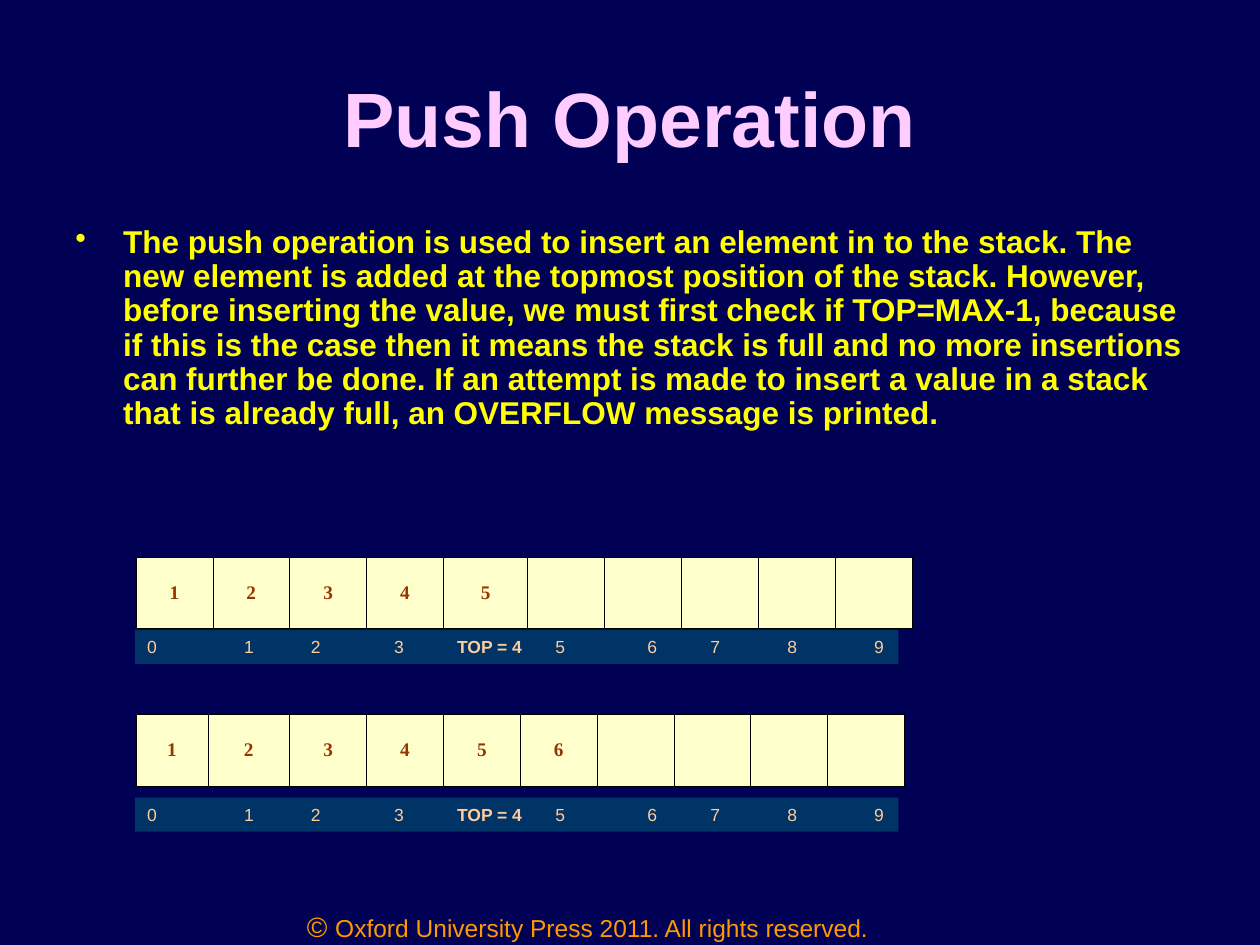
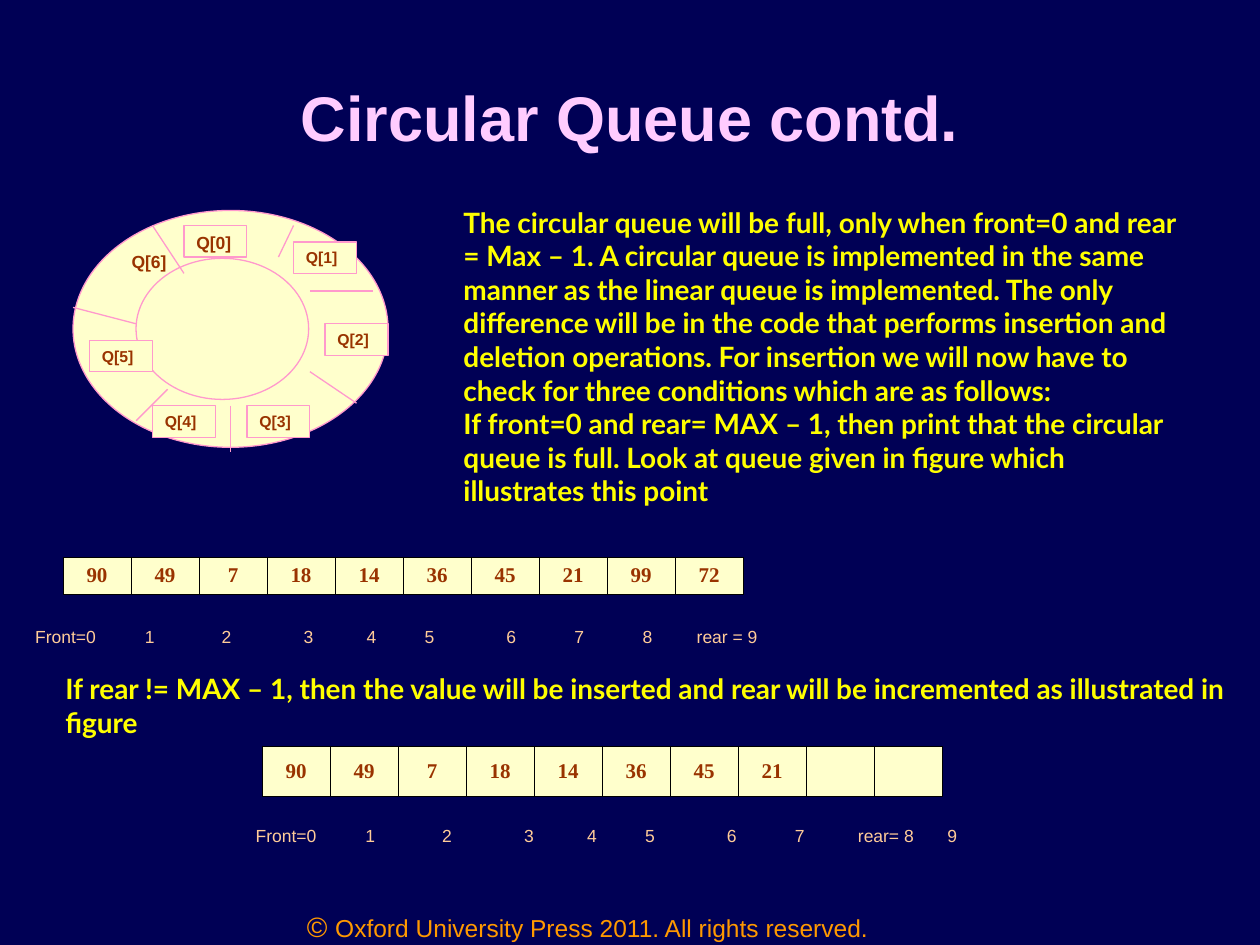
from lxml.etree import SubElement
from pptx import Presentation
from pptx.dml.color import RGBColor
from pptx.enum.shapes import MSO_CONNECTOR, MSO_SHAPE
from pptx.enum.text import MSO_ANCHOR, PP_ALIGN
from pptx.oxml.ns import qn
from pptx.util import Inches, Pt

NAVY, BLUE, CREAM, BLACK = "000055", "003366", "FFFFCC", "000000"
PINK, ROSE, YELLOW = "FFCCFF", "FF99CC", "FFFF00"
ORANGE, PEACH, BROWN = "FF9900", "FFCC99", "993300"
SANS, LATO, SERIF = "Arial", "Lato", "Times New Roman"


def color(code):
    return RGBColor.from_string(code)


def inches(*values):
    return [Inches(value) for value in values]


class Deck:
    """Holds the shared style, the presentation and the current slide."""

    def __init__(self):
        self.prs = Presentation()
        self.prs.slide_width, self.prs.slide_height = inches(10, 7.5)
        self.slide = None

    def start(self, title, size):
        self.slide = self.prs.slides.add_slide(self.prs.slide_layouts[6])
        fill = self.slide.background.fill
        fill.solid()
        fill.fore_color.rgb = color(NAVY)
        self.footer()
        self.text((0.5, 0.3, 9, 1.25), [title], size, PINK, bold=True,
                  align=PP_ALIGN.CENTER, anchor=MSO_ANCHOR.MIDDLE)

    def footer(self):
        box = self.text((2, 7.17, 5.33, 0.33), ["© "], 16, ORANGE,
                        align=PP_ALIGN.CENTER)
        run = box.text_frame.paragraphs[0].add_run()
        run.text = "Oxford University Press 2011. All rights reserved."
        self.style(run.font, 14, ORANGE)

    def style(self, font, size, tint, face=SANS, bold=False):
        font.size, font.name, font.bold = Pt(size), face, bold
        font.color.rgb = color(tint)

    def fill_in(self, frame, lines, size, tint, face=SANS, bold=False,
                align=PP_ALIGN.LEFT, anchor=MSO_ANCHOR.TOP):
        """Put the lines into the frame, one paragraph each."""
        frame.word_wrap = True
        frame.vertical_anchor = anchor
        frame.text = "\n".join(lines)
        for para in frame.paragraphs:
            para.alignment = align
            for run in para.runs:
                self.style(run.font, size, tint, face, bold)

    def text(self, place, lines, size, tint, **look):
        box = self.slide.shapes.add_textbox(*inches(*place))
        self.fill_in(box.text_frame, lines, size, tint, **look)
        return box

    def bullet(self, place, line, size, tint):
        box = self.text(place, [line], size, tint, bold=True)
        para = box.text_frame.paragraphs[0]
        props = para._p.get_or_add_pPr()
        props.set("marL", str(Inches(0.38)))
        props.set("indent", str(-Inches(0.38)))
        SubElement(props, qn("a:buChar")).set("char", "•")
        para.line_spacing = 0.9

    def shape(self, kind, place, fill, line=None):
        shape = self.slide.shapes.add_shape(kind, *inches(*place))
        shape.shadow.inherit = False
        shape.fill.solid()
        shape.fill.fore_color.rgb = color(fill)
        if line:
            shape.line.color.rgb = color(line)
            shape.line.width = Pt(0.75)
        else:
            shape.line.fill.background()
        return shape

    def label(self, kind, place, name="", size=9):
        shape = self.shape(kind, place, CREAM, ROSE)
        if name:
            self.fill_in(shape.text_frame, [name], size, BROWN, bold=True)

    def line(self, *ends):
        line = self.slide.shapes.add_connector(MSO_CONNECTOR.STRAIGHT,
                                               *inches(*ends))
        line.line.color.rgb = color(ROSE)
        line.line.width = Pt(0.75)
        SubElement(line._element.spPr, qn("a:effectLst"))

    def array(self, left, top, height, widths, values, size):
        """Draw a one-row table; cells beyond the values stay empty."""
        frame = self.slide.shapes.add_table(
            1, len(widths), *inches(left, top, sum(widths), height))
        table = frame.table
        table.first_row = table.horz_banding = False
        table.rows[0].height = Inches(height)
        for col, width in enumerate(widths):
            table.columns[col].width = Inches(width)
            cell = table.cell(0, col)
            self.border(cell)
            cell.fill.solid()
            cell.fill.fore_color.rgb = color(CREAM)
            cell.vertical_anchor = MSO_ANCHOR.MIDDLE
            if col < len(values):
                para = cell.text_frame.paragraphs[0]
                para.text = str(values[col])
                para.alignment = PP_ALIGN.CENTER
                self.style(para.runs[0].font, size, BROWN, SERIF, True)

    def border(self, cell):
        props = cell._tc.get_or_add_tcPr()
        for side in ("lnL", "lnR", "lnT", "lnB"):
            edge = SubElement(props, qn("a:" + side), w=str(Pt(0.45)))
            fill = SubElement(edge, qn("a:solidFill"))
            SubElement(fill, qn("a:srgbClr"), val=BLACK)

    def index(self, box, names, stops, inset, strong=""):
        """Set index names in one line, each after the first at a tab stop."""
        frame = box.text_frame
        frame.word_wrap = True
        frame.vertical_anchor = MSO_ANCHOR.MIDDLE
        frame.margin_left, frame.margin_right = inches(inset, 0)
        para = frame.paragraphs[0]
        para.alignment = PP_ALIGN.LEFT
        tabs = SubElement(para._p.get_or_add_pPr(), qn("a:tabLst"))
        for stop in stops:
            SubElement(tabs, qn("a:tab"), pos=str(Inches(stop)), algn="l")
        for pos, name in enumerate(names):
            run = para.add_run()
            run.text = "\t" + name if pos else name
            self.style(run.font, 10, PEACH, bold=name == strong)


def push(deck):
    deck.start("Push Operation", 44)
    deck.bullet(
        (0.5, 1.75, 9, 1.79),
        "The push operation is used to insert an element in to the stack. "
        "The new element is added at the topmost position of the stack. "
        "However, before inserting the value, we must first check if "
        "TOP=MAX-1, because if this is the case then it means the stack is "
        "full and no more insertions can further be done. If an attempt is "
        "made to insert a value in a stack that is already full, an OVERFLOW "
        "message is printed.", 18, YELLOW)
    top = "TOP = 4"
    names = ["0", "1", "2", "3", top, "5", "6", "7", "8", "9"]
    stops = [0.77, 1.3, 1.96, 2.46, 3.24, 3.97, 4.47, 5.08, 5.77]
    before = [0.61] * 4 + [0.67] + [0.61] * 5
    after = [0.57, 0.65] + [0.61] * 8
    for y, widths, count, strip in ((4.42, before, 5, 5),
                                    (5.67, after, 6, 6.33)):
        deck.array(1.08, y, 0.57, widths, range(1, count + 1), 11)
        bar = deck.shape(MSO_SHAPE.RECTANGLE, (1.07, strip, 6.06, 0.27), BLUE)
        deck.index(bar, names, stops, 0.1, top)


def ring(deck):
    """Draw the circular queue with its dividers and slot labels."""
    deck.label(MSO_SHAPE.OVAL, (0.58, 1.67, 2.5, 1.88), "Q[6]", 10)
    deck.label(MSO_SHAPE.OVAL, (1.08, 2.05, 1.37, 1.12))
    for ends in ((2.21, 2.04, 2.33, 1.79), (2.46, 2.31, 2.96, 2.31),
                 (2.46, 2.95, 2.83, 3.2), (1.83, 3.22, 1.83, 3.59),
                 (1.33, 3.09, 1.08, 3.34), (1.08, 2.57, 0.58, 2.44),
                 (1.46, 2.17, 1.21, 1.79)):
        deck.line(*ends)
    slots = ((1.46, 1.79), (2.33, 1.92), (2.58, 2.57),
             (1.96, 3.22), (1.21, 3.22), (0.71, 2.7))
    for slot, (x, y) in enumerate(slots):
        deck.label(MSO_SHAPE.RECTANGLE, (x, y, 0.5, 0.25), f"Q[{slot}]",
                   9 if slot else 10)


def queue(deck):
    deck.start("Circular Queue contd.", 36)
    ring(deck)
    deck.text((3.58, 1.58, 5.92, 3.17), [
        "The circular queue will be full, only when front=0 and rear = Max – "
        "1. A circular queue is implemented in the same manner as the linear "
        "queue is implemented. The only difference will be in the code that "
        "performs insertion and deletion operations. For insertion we will "
        "now have to check for three conditions which are as follows:",
        "If front=0 and rear= MAX – 1, then print that the circular queue is "
        "full. Look at queue given in figure which illustrates this point",
    ], 16, YELLOW, face=LATO, bold=True)
    deck.text((0.42, 5.28, 9.58, 0.64), [
        "If rear != MAX – 1, then the value will be inserted and rear will "
        "be incremented as illustrated in figure",
    ], 16, YELLOW, face=LATO, bold=True, anchor=MSO_ANCHOR.MIDDLE)

    values = [90, 49, 7, 18, 14, 36, 45, 21, 99, 72]
    names = ["Front=0"] + [str(n) for n in range(1, 8)]
    stops = [0.87, 1.48, 2.13, 2.63, 3.09, 3.74, 4.28]
    widths = [0.54] * 10
    deck.array(0.5, 4.42, 0.3, widths, values, 12)
    full = deck.text((0, 4.92, 9.33, 0.27), [], 10, PEACH)
    deck.index(full, names + ["8", "rear = 9"], stops + [4.82, 5.25], 0.28)
    deck.array(2.08, 5.92, 0.4, widths, values[:8], 12)
    room = deck.text((1.75, 6.5, 7.17, 0.27), [], 10, PEACH)
    deck.index(room, names + ["rear= 8", "9"], stops + [4.78, 5.49], 0.28)


def main():
    deck = Deck()
    push(deck)
    queue(deck)
    deck.prs.save("out.pptx")


if __name__ == "__main__":
    main()
